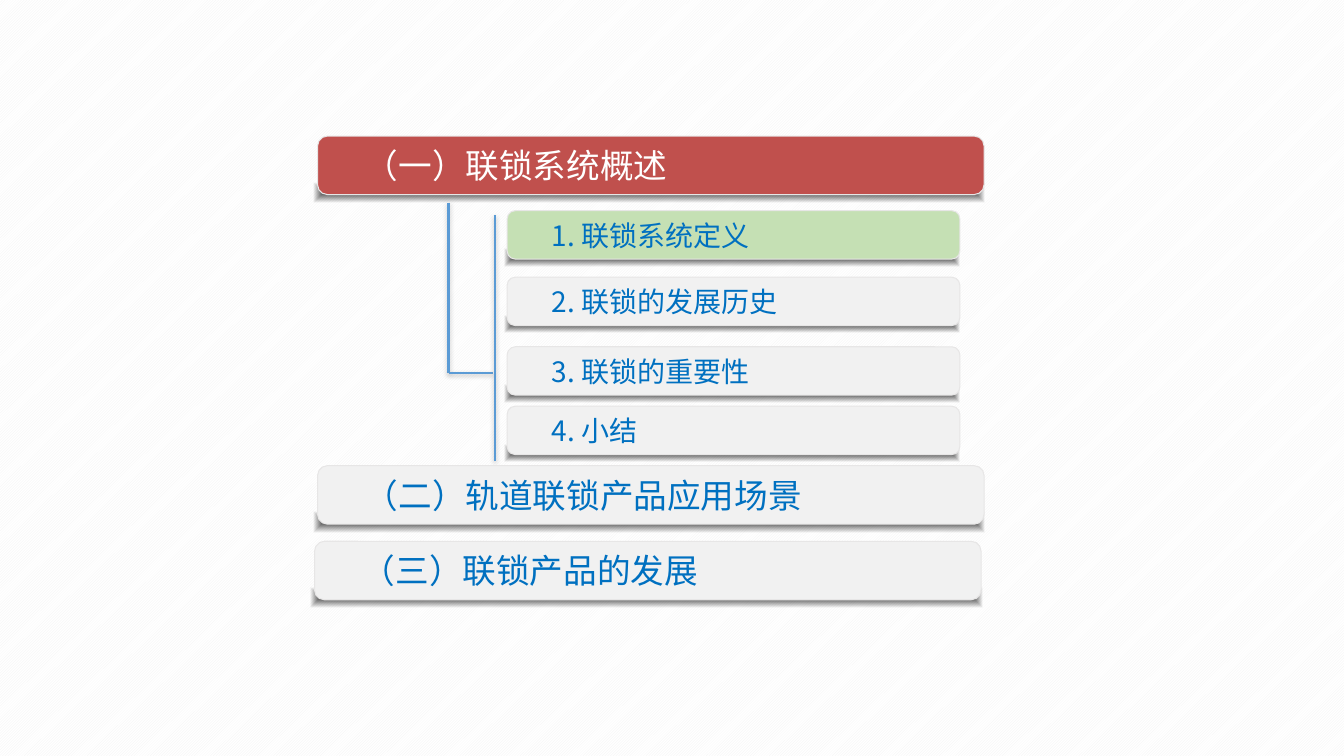
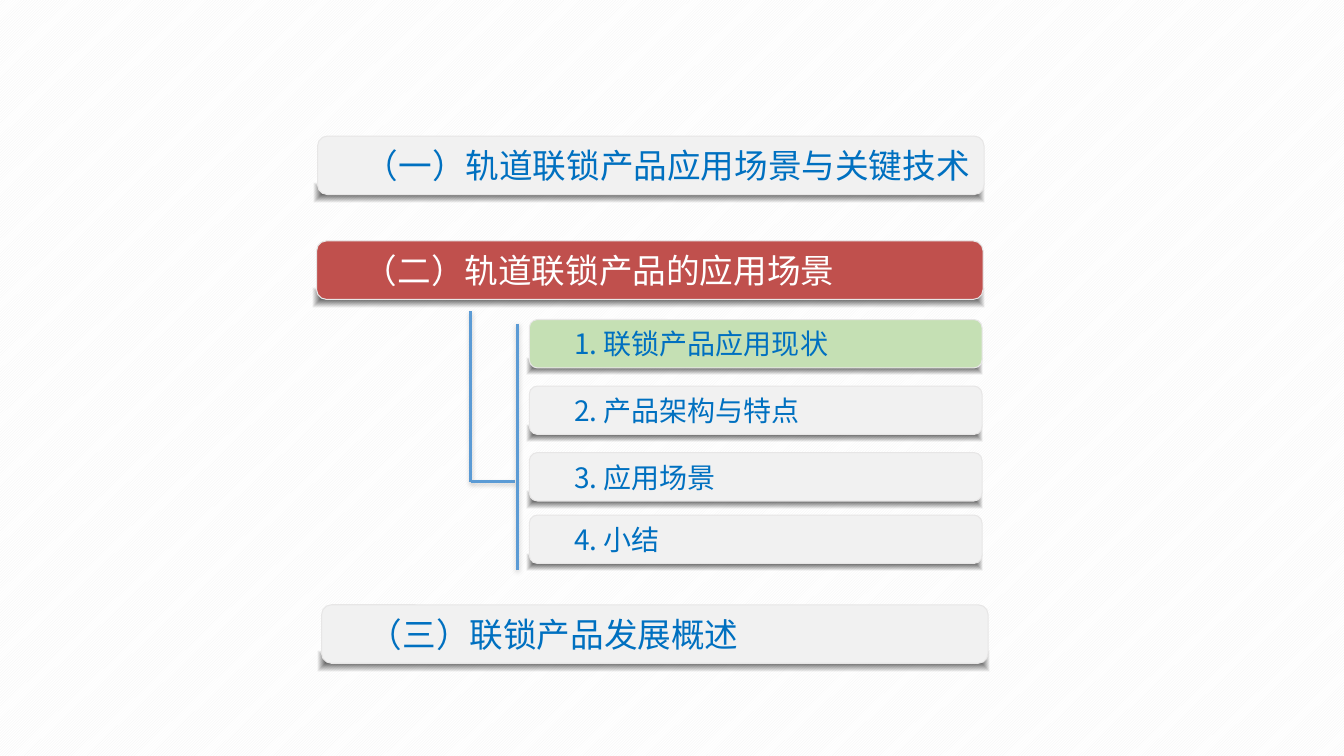
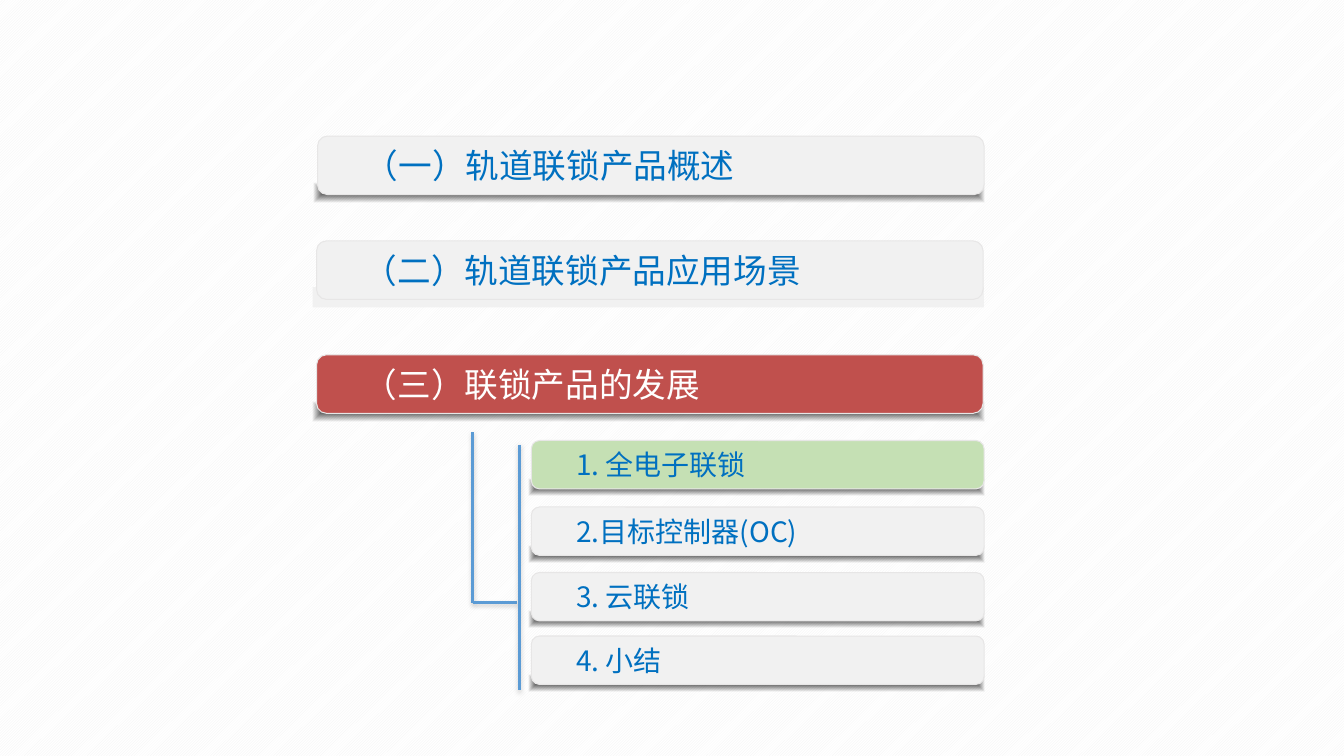
from lxml import etree
from pptx import Presentation
from pptx import util as u
from pptx.dml.color import RGBColor
from pptx.enum import dml, shapes, text
from pptx.oxml import parse_xml
from pptx.oxml.ns import qn

PIXEL = 9144  # EMU; 100 px to the inch
FONT = "Noto Sans CJK SC"
DRAWING = "http://schemas.openxmlformats.org/drawingml/2006/main"

WHITE = RGBColor(0xFF, 0xFF, 0xFF)
STRIPE = RGBColor(0xF2, 0xF2, 0xF2)
GREY = RGBColor(0xF1, 0xF1, 0xF1)
EDGE = RGBColor(0xE7, 0xE6, 0xE6)
RED = RGBColor(0xC0, 0x50, 0x4D)
GREEN = RGBColor(0xC5, 0xE0, 0xB4)
BLUE = RGBColor(0x00, 0x70, 0xC0)
LINE_BLUE = RGBColor(0x5B, 0x9B, 0xD5)

GLOW = f"""<a:gradFill xmlns:a="{DRAWING}" rotWithShape="1"><a:gsLst>
<a:gs pos="0"><a:srgbClr val="000000"><a:alpha val="70000"/></a:srgbClr></a:gs>
<a:gs pos="100000"><a:srgbClr val="000000"><a:alpha val="0"/></a:srgbClr></a:gs>
</a:gsLst><a:path path="shape">
<a:fillToRect l="50000" t="50000" r="50000" b="50000"/></a:path></a:gradFill>"""

LINE_SHADOW = f"""<a:effectLst xmlns:a="{DRAWING}">
<a:outerShdw blurRad="40000" dist="20000" dir="5400000" rotWithShape="0">
<a:srgbClr val="808080"><a:alpha val="38000"/></a:srgbClr></a:outerShdw></a:effectLst>"""


def px(value):
    return u.Emu(value * PIXEL)


class Agenda:
    """Holds the presentation, its style and the current slide."""

    def __init__(self):
        self.presentation = Presentation()
        self.presentation.slide_width = px(1333)
        self.presentation.slide_height = px(750)
        self.slide = None
        fill = self.presentation.slide_master.background.fill
        fill.patterned()
        fill.pattern = dml.MSO_PATTERN.DARK_UPWARD_DIAGONAL
        fill.fore_color.rgb = STRIPE
        fill.back_color.rgb = WHITE

    def new_slide(self):
        layout = self.presentation.slide_layouts[6]
        self.slide = self.presentation.slides.add_slide(layout)

    def box(self, group, kind, left, top, width, height, color):
        shape = group.shapes.add_shape(kind, px(left), px(top), px(width), px(height))
        shape.shadow.inherit = False
        shape.line.fill.background()
        shape.fill.solid()
        shape.fill.fore_color.rgb = color
        return shape

    def glow(self, group, left, top, width, height, flat):
        """The soft strip under a card, or a plain grey one."""
        shape = self.box(group, shapes.MSO_SHAPE.RECTANGLE, left, top, width, height, GREY)
        if not flat:
            properties = shape._element.spPr
            properties.replace(properties.find(qn("a:solidFill")), parse_xml(GLOW))

    def card(self, group, left, top, width, height, color, label, size, ink, margin):
        shape = self.box(group, shapes.MSO_SHAPE.ROUNDED_RECTANGLE,
                         left, top, width, height, color)
        shape.adjustments[0] = 0.167
        shape.line.color.rgb = EDGE
        shape.line.width = u.Pt(0.75)
        frame = shape.text_frame
        frame.word_wrap = True
        frame.vertical_anchor = text.MSO_ANCHOR.MIDDLE
        frame.margin_left, frame.margin_right = px(margin), px(10)
        frame.margin_top = frame.margin_bottom = px(5)
        paragraph = frame.paragraphs[0]
        paragraph.alignment = text.PP_ALIGN.LEFT
        run = paragraph.add_run()
        run.text = label
        run.font.size = u.Pt(size)
        run.font.color.rgb = ink
        run.font.name = FONT
        etree.SubElement(run._r.get_or_add_rPr(), qn("a:ea")).set("typeface", FONT)

    def chapter(self, left, top, label, active=False, flat=False):
        group = self.slide.shapes.add_group_shape()
        self.glow(group, left - 4, top + 46, 666, 20, flat)
        self.card(group, left, top, 661, 58, RED if active else GREY,
                  label, 24, WHITE if active else BLUE, 44)

    def item(self, left, top, label, active):
        group = self.slide.shapes.add_group_shape()
        self.glow(group, left - 3, top + 38, 452, 17, False)
        self.card(group, left, top, 449, 48, GREEN if active else GREY,
                  label, 20, BLUE, 42)

    def line(self, group, x1, y1, x2, y2):
        connector = group.shapes.add_connector(
            shapes.MSO_CONNECTOR.STRAIGHT, px(x1), px(y1), px(x2), px(y2))
        connector.line.color.rgb = LINE_BLUE
        connector.line.width = u.Pt(2)
        connector._element.spPr.append(parse_xml(LINE_SHADOW))

    def bracket(self, left, top):
        """Lines that tie the items starting at left, top to their chapter."""
        group = self.slide.shapes.add_group_shape()
        trunk, elbow = left - 58, top + 161
        self.line(group, trunk, top - 8, trunk, elbow)
        self.line(group, trunk, elbow, left - 14, elbow)
        self.line(group, left - 12, top + 4, left - 12, top + 248)

    def items(self, left, entries):
        self.bracket(left, entries[0][0])
        for index, (top, label) in enumerate(entries):
            self.item(left, top, label, active=index == 0)


def main():
    agenda = Agenda()

    # Chapter one
    agenda.new_slide()
    agenda.chapter(315, 135, "（一）联锁系统概述", active=True)
    agenda.items(503, [(209, "1. 联锁系统定义"), (275, "2. 联锁的发展历史"),
                       (344, "3. 联锁的重要性"), (403, "4. 小结")])
    agenda.chapter(315, 462, "（二）轨道联锁产品应用场景")
    agenda.chapter(312, 537, "（三）联锁产品的发展")

    # Chapter two
    agenda.new_slide()
    agenda.chapter(315, 135, "（一）轨道联锁产品应用场景与关键技术")
    agenda.chapter(314, 239, "（二）轨道联锁产品的应用场景", active=True)
    agenda.items(525, [(317, "1. 联锁产品应用现状"), (383, "2. 产品架构与特点"),
                       (449, "3. 应用场景"), (511, "4. 小结")])
    agenda.chapter(319, 600, "（三）联锁产品发展概述")

    # Chapter three
    agenda.new_slide()
    agenda.chapter(315, 135, "（一）轨道联锁产品概述")
    agenda.chapter(314, 239, "（二）轨道联锁产品应用场景", flat=True)
    agenda.chapter(314, 352, "（三）联锁产品的发展", active=True)
    agenda.items(527, [(437, "1. 全电子联锁"), (503, "2.目标控制器(OC)"),
                       (568, "3. 云联锁"), (631, "4. 小结")])

    agenda.presentation.save("out.pptx")


if __name__ == "__main__":
    main()
